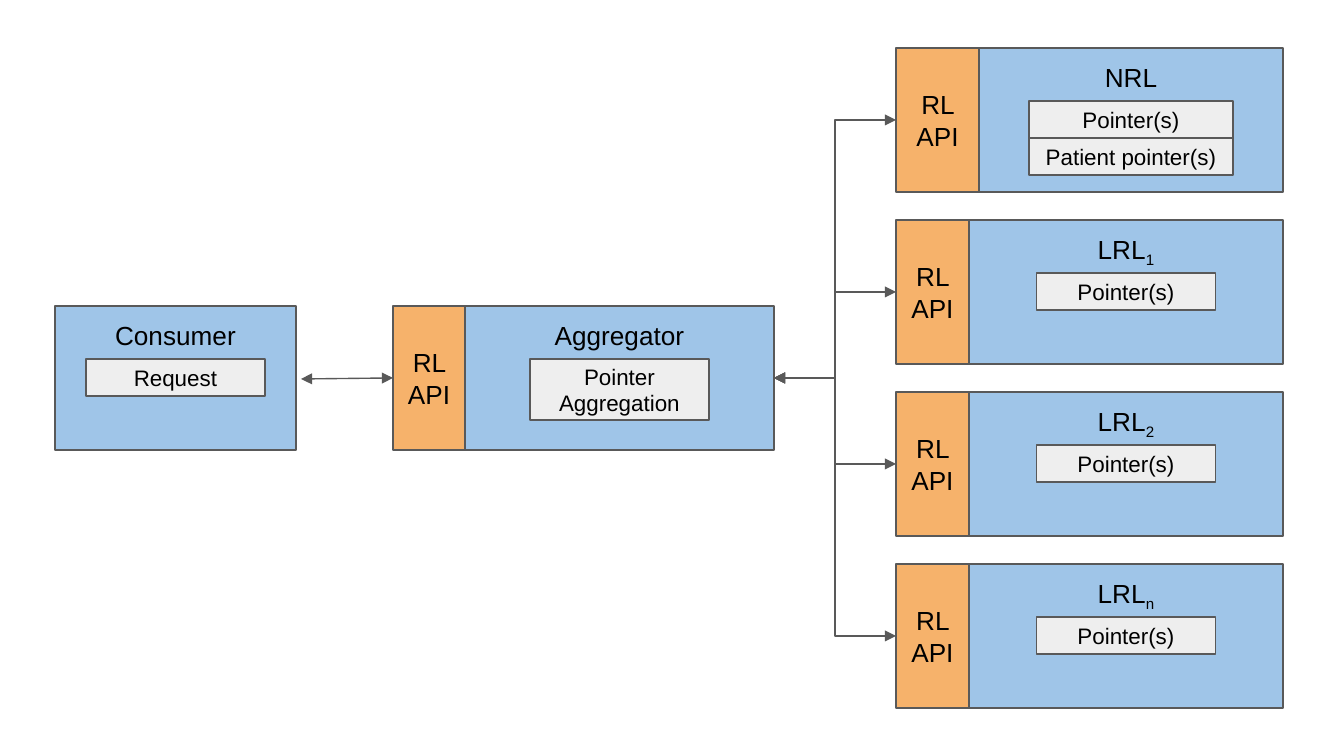
from dataclasses import dataclass

from lxml import etree
from pptx import Presentation
from pptx.dml.color import RGBColor
from pptx.enum.shapes import MSO_CONNECTOR, MSO_SHAPE
from pptx.enum.text import MSO_ANCHOR, PP_ALIGN
from pptx.oxml.ns import qn
from pptx.util import Emu, Pt

RECTANGLE = MSO_SHAPE.RECTANGLE
ELBOW = MSO_CONNECTOR.ELBOW
STRAIGHT = MSO_CONNECTOR.STRAIGHT
TOP = MSO_ANCHOR.TOP
MIDDLE = MSO_ANCHOR.MIDDLE
CENTER = PP_ALIGN.CENTER
LEFT_SIDE, RIGHT_SIDE = 1, 3
EMU_PER_PX = 914400 / 134.4


def px(length):
    return Emu(round(length * EMU_PER_PX))


@dataclass(frozen=True)
class Theme:
    api: RGBColor = RGBColor.from_string("F6B26B")
    system: RGBColor = RGBColor.from_string("9FC5E8")
    item: RGBColor = RGBColor.from_string("EEEEEE")
    line: RGBColor = RGBColor.from_string("595959")
    text: RGBColor = RGBColor.from_string("000000")
    font: str = "Arial"
    heading_size: Pt = Pt(14)
    item_size: Pt = Pt(12)
    line_width: Pt = Pt(0.75)


class Diagram:
    system_height = 144
    item_offset = 53
    item_height = 37
    inset = px(13)

    def __init__(self, slide, theme):
        self.slide = slide
        self.theme = theme

    def style_line(self, line):
        line.color.rgb = self.theme.line
        line.width = self.theme.line_width

    def run(self, paragraph, text, size):
        run = paragraph.add_run()
        run.text = text
        values = {"name": self.theme.font, "size": size}
        for name, value in values.items():
            setattr(run.font, name, value)
        run.font.color.rgb = self.theme.text
        return run

    def box(self, shapes, bounds, fill, text, size, anchor=MIDDLE, subscript=""):
        shape = shapes.add_shape(RECTANGLE, *map(px, bounds))
        shape.shadow.inherit = False
        shape.fill.solid()
        shape.fill.fore_color.rgb = fill
        self.style_line(shape.line)
        frame_format = {
            "word_wrap": True,
            "vertical_anchor": anchor,
            "margin_left": self.inset,
            "margin_top": self.inset,
            "margin_right": self.inset,
            "margin_bottom": self.inset,
        }
        for name, value in frame_format.items():
            setattr(shape.text_frame, name, value)
        paragraph = shape.text_frame.paragraphs[0]
        paragraph.alignment = CENTER
        self.run(paragraph, text, size)
        if subscript:
            run = self.run(paragraph, subscript, size)
            run.font._element.set("baseline", "-25000")
        return shape

    def system(self, left, top, width, name, items, item_width=179,
               item_height=item_height, api_width=0, subscript=""):
        theme = self.theme
        shapes = self.slide.shapes.add_group_shape().shapes
        api = None
        if api_width:
            api = self.box(shapes, (left, top, api_width, self.system_height),
                           theme.api, "RL API", theme.heading_size)
        body_left, body_width = left + api_width, width - api_width
        body = self.box(shapes, (body_left, top, body_width, self.system_height),
                        theme.system, name, theme.heading_size, TOP, subscript)
        item_left = body_left + (body_width - item_width) / 2
        for index, item in enumerate(items):
            item_top = top + self.item_offset + index * item_height
            self.box(shapes, (item_left, item_top, item_width, item_height),
                     theme.item, item, theme.item_size)
        return api, body

    def arrow(self, kind, end_shape, begin_shape=None, begin_point=(0, 0)):
        x, y = map(px, begin_point)
        connector = self.slide.shapes.add_connector(kind, x, y, x, y)
        if begin_shape is not None:
            connector.begin_connect(begin_shape, RIGHT_SIDE)
        connector.end_connect(end_shape, LEFT_SIDE)
        self.style_line(connector.line)
        line = connector.line._get_or_add_ln()
        for tag in ("a:headEnd", "a:tailEnd"):
            etree.SubElement(line, qn(tag)).set("type", "triangle")
        etree.SubElement(connector._element.spPr, qn("a:effectLst"))


def main():
    presentation = Presentation()
    presentation.slide_width, presentation.slide_height = px(1344), px(756)
    slide = presentation.slides.add_slide(presentation.slide_layouts[6])
    diagram = Diagram(slide, Theme())

    locators = [
        dict(name="NRL", items=["Pointer(s)", "Patient pointer(s)"],
             item_width=204, api_width=83),
        *(dict(name="LRL", subscript=subscript, items=["Pointer(s)"], api_width=73)
          for subscript in "12n"),
    ]
    locator_apis = [
        diagram.system(896, 48 + 172 * row, 387, **locator)[0]
        for row, locator in enumerate(locators)
    ]
    aggregator_api, aggregator = diagram.system(
        393, 306, 381, "Aggregator", ["Pointer Aggregation"],
        item_height=61, api_width=72)
    diagram.system(55, 306, 241, "Consumer", ["Request"])

    for locator_api in locator_apis:
        diagram.arrow(ELBOW, locator_api, begin_shape=aggregator)
    diagram.arrow(STRAIGHT, aggregator_api, begin_point=(301, 379))

    presentation.save("out.pptx")


if __name__ == "__main__":
    main()
